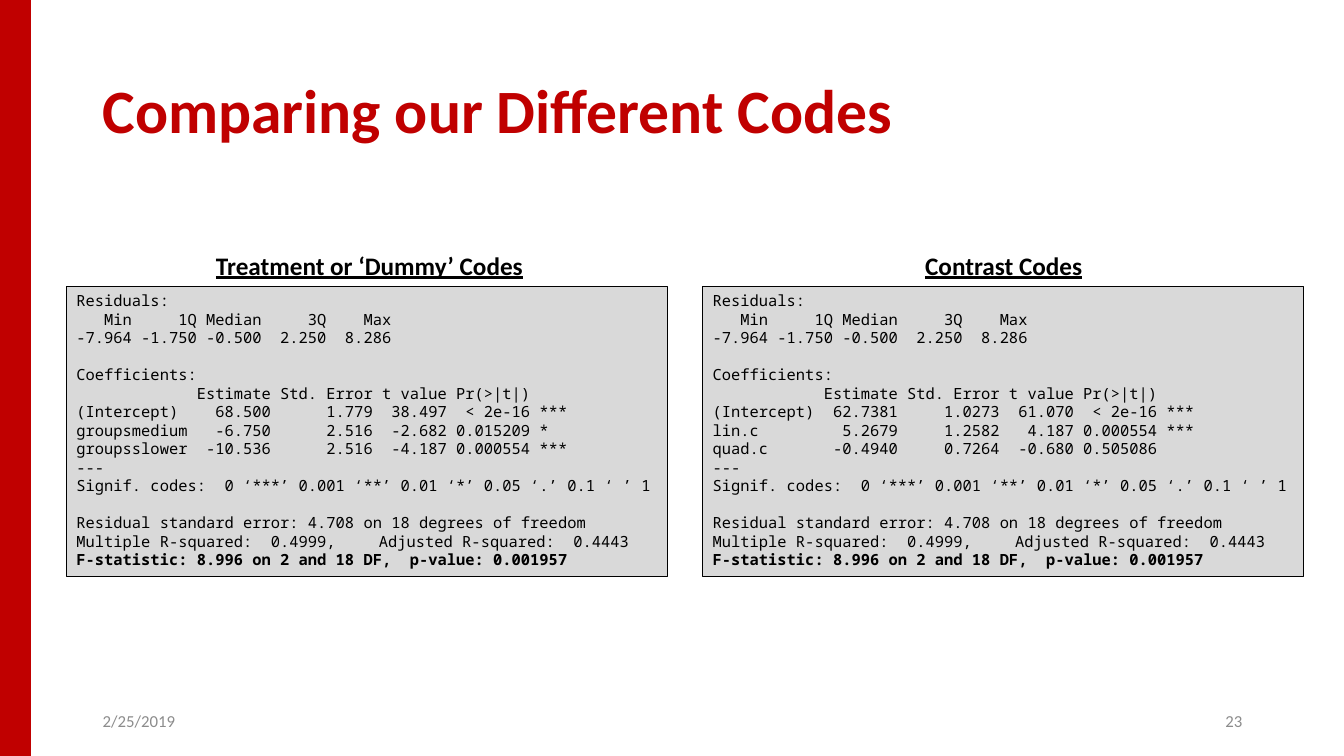
import dataclasses

import pptx
import pptx.dml.color
import pptx.enum.shapes
import pptx.enum.text
import pptx.shapes.autoshape
import pptx.slide
import pptx.text.text
import pptx.util

Inches = pptx.util.Inches
Align = pptx.enum.text.PP_ALIGN
Anchor = pptx.enum.text.MSO_ANCHOR

COLORS = {"red": "C00000", "panel": "D9D9D9", "black": "000000", "gray": "8C8C8C"}
BODY_FONT = "Calibri"
CODE_FONT = "Noto Sans Mono"
CODE_SIZE = 11
BLANK_LINE = 13.2

RESIDUALS = """Residuals:
   Min     1Q Median     3Q    Max
-7.964 -1.750 -0.500  2.250  8.286"""

SIGNIFICANCE = "Signif. codes:  0 ‘***’ 0.001 ‘**’ 0.01 ‘*’ 0.05 ‘.’ 0.1 ‘ ’ 1"

MODEL_FIT = """Residual standard error: 4.708 on 18 degrees of freedom
Multiple R-squared:  0.4999,\tAdjusted R-squared:  0.4443
F-statistic: 8.996 on 2 and 18 DF,  p-value: 0.001957"""

TREATMENT_COEFFICIENTS = """Coefficients:
             Estimate Std. Error t value Pr(>|t|)
(Intercept)    68.500      1.779  38.497  < 2e-16 ***
groupsmedium   -6.750      2.516  -2.682 0.015209 *
groupsslower  -10.536      2.516  -4.187 0.000554 ***"""

CONTRAST_COEFFICIENTS = """Coefficients:
            Estimate Std. Error t value Pr(>|t|)
(Intercept)  62.7381     1.0273  61.070  < 2e-16 ***
lin.c         5.2679     1.2582   4.187 0.000554 ***
quad.c       -0.4940     0.7264  -0.680 0.505086"""


@dataclasses.dataclass(frozen=True)
class Box:
    left: float
    top: float
    width: float
    height: float

    def lengths(self) -> list[pptx.util.Length]:
        return [Inches(value) for value in dataclasses.astuple(self)]


@dataclasses.dataclass(frozen=True)
class ModelOutput:
    heading: str
    heading_box: Box
    panel_box: Box
    coefficients: str


MODEL_OUTPUTS = [
    ModelOutput("Treatment or ‘Dummy’ Codes", Box(2.03, 2.43, 3.27, 0.4),
                Box(0.66, 2.84, 5.96, 2.88), TREATMENT_COEFFICIENTS),
    ModelOutput("Contrast Codes", Box(9.07, 2.43, 1.77, 0.4),
                Box(6.97, 2.84, 5.96, 2.88), CONTRAST_COEFFICIENTS),
]


def write_text(
    paragraph: pptx.text.text._Paragraph,
    text: str,
    *,
    size: float,
    color: str = "black",
    font: str = BODY_FONT,
    bold: bool = False,
    underline: bool = False,
    align: Align = Align.LEFT,
    space_before: float = 0,
) -> None:
    paragraph.alignment = align
    paragraph.space_before = pptx.util.Pt(space_before)
    run = paragraph.add_run()
    run.text = text
    run.font.name = font
    run.font.size = pptx.util.Pt(size)
    run.font.bold = bold
    run.font.underline = underline
    run.font.color.rgb = pptx.dml.color.RGBColor.from_string(COLORS[color])


def add_label(slide: pptx.slide.Slide, box: Box, text: str, *,
              anchor: Anchor = Anchor.MIDDLE, wrap: bool = True,
              **text_format) -> pptx.text.text._Paragraph:
    text_frame = slide.shapes.add_textbox(*box.lengths()).text_frame
    text_frame.word_wrap = wrap
    text_frame.vertical_anchor = anchor
    paragraph = text_frame.paragraphs[0]
    write_text(paragraph, text, **text_format)
    return paragraph


def add_rectangle(slide: pptx.slide.Slide, box: Box, fill: str, line: str,
                  line_width: float) -> pptx.shapes.autoshape.Shape:
    shape = slide.shapes.add_shape(
        pptx.enum.shapes.MSO_SHAPE.RECTANGLE, *box.lengths())
    shape.shadow.inherit = False
    shape.fill.solid()
    shape.fill.fore_color.rgb = pptx.dml.color.RGBColor.from_string(COLORS[fill])
    shape.line.color.rgb = pptx.dml.color.RGBColor.from_string(COLORS[line])
    shape.line.width = pptx.util.Pt(line_width)
    return shape


def add_model_output(slide: pptx.slide.Slide, output: ModelOutput) -> None:
    panel = add_rectangle(slide, output.panel_box, "panel", "black", 0.75)
    text_frame = panel.text_frame
    text_frame.word_wrap = True
    text_frame.vertical_anchor = Anchor.TOP
    sections = [
        RESIDUALS,
        f"{output.coefficients}\n---\n{SIGNIFICANCE}",
        MODEL_FIT,
    ]
    paragraph = text_frame.paragraphs[0]
    for section_index, section in enumerate(sections):
        for line_index, line in enumerate(section.split("\n")):
            starts_section = line_index == 0
            if section_index or line_index:
                paragraph = text_frame.add_paragraph()
            write_text(
                paragraph, line, size=CODE_SIZE, font=CODE_FONT,
                bold=line.startswith("F-statistic"),
                space_before=BLANK_LINE if section_index and starts_section else 0)
    add_label(slide, output.heading_box, output.heading, anchor=Anchor.TOP,
              wrap=False, size=18, bold=True, underline=True, align=Align.CENTER)


def main() -> None:
    presentation = pptx.Presentation()
    presentation.slide_width = Inches(13.33)
    presentation.slide_height = Inches(7.5)
    slide = presentation.slides.add_slide(presentation.slide_layouts[6])

    add_rectangle(slide, Box(0, 0, 0.3, 7.5), "red", "red", 1)
    title = add_label(slide, Box(0.92, 0.4, 11.5, 1.45),
                      "Comparing our Different Codes", size=44, color="red", bold=True)
    title.line_spacing = 0.9
    add_label(slide, Box(0.92, 6.95, 3, 0.4), "2/25/2019", size=12, color="gray")
    add_label(slide, Box(9.42, 6.95, 3, 0.4), "23", size=12, color="gray",
              align=Align.RIGHT)
    for output in MODEL_OUTPUTS:
        add_model_output(slide, output)

    presentation.save("out.pptx")


if __name__ == "__main__":
    main()
